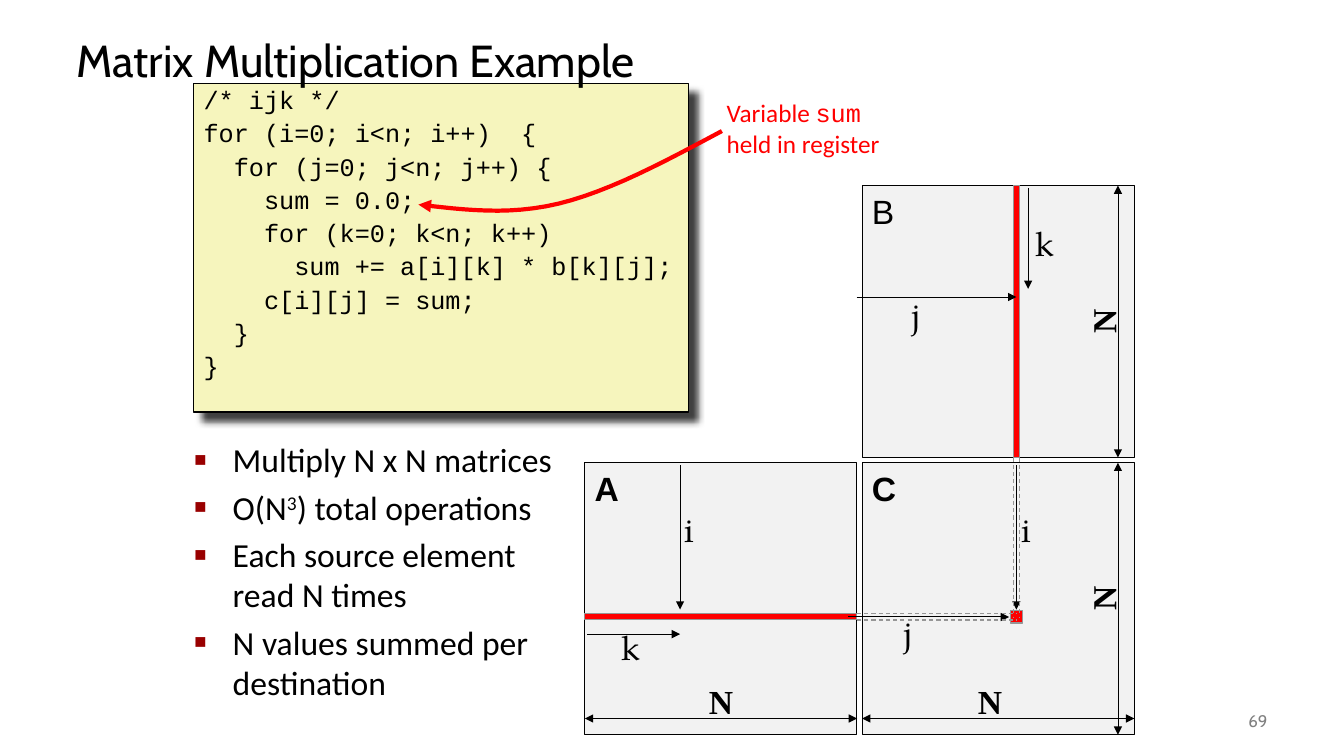
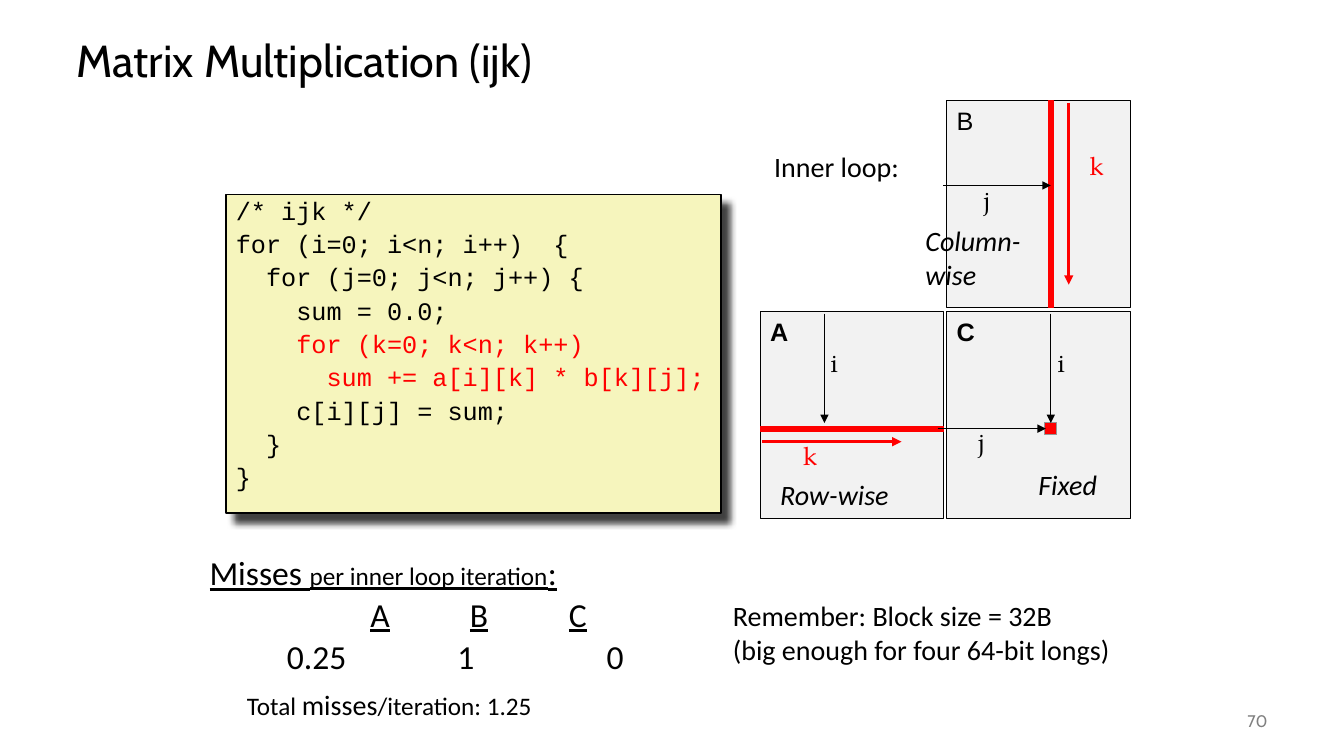
from lxml.etree import SubElement
from pptx import Presentation
from pptx.dml.color import RGBColor
from pptx.enum.dml import MSO_LINE
from pptx.enum.shapes import MSO_CONNECTOR, MSO_SHAPE
from pptx.enum.text import MSO_ANCHOR, PP_ALIGN
from pptx.oxml.ns import qn
from pptx.util import Inches, Pt

BLACK = RGBColor(0x00, 0x00, 0x00)
WHITE = RGBColor(0xFF, 0xFF, 0xFF)
RED = RGBColor(0xFF, 0x00, 0x00)
GREY = RGBColor(0x96, 0x96, 0x96)
NUMBER_GREY = RGBColor(0x80, 0x80, 0x80)
CELL_GREY = RGBColor(0xF2, 0xF2, 0xF2)
CODE_YELLOW = RGBColor(0xF6, 0xF5, 0xBD)

TITLE_FONT, BODY_FONT, CODE_FONT = "Cabin", "Calibri", "Courier New"
INDEX_FONT = "TeX Gyre Pagella"

CODE = [
    "/* ijk */",
    "for (i=0; i<n; i++)  {",
    "  for (j=0; j<n; j++) {",
    "    sum = 0.0;",
    "    for (k=0; k<n; k++)",
    "      sum += a[i][k] * b[k][j];",
    "    c[i][j] = sum;",
    "  }",
    "}",
]

# Matrix name: column and row in the 2 x 2 grid of cells
CELLS = {"A": (0, 1), "B": (1, 0), "C": (1, 1)}
MARK = 0.567  # share of a cell at which the highlighted row and column lie

# Cell, name, arrow start, arrow end, label corner, all as shares of the cell
INDEXES = [
    ("A", "i", (0.35, 0.01), (0.35, 0.54), (0.33, 0.15)),
    ("B", "j", (-0.02, 0.41), (MARK, 0.41), (0.15, 0.38)),
    ("C", "i", (MARK, 0.01), (MARK, 0.54), (0.55, 0.15)),
    ("C", "j", (-0.05, MARK), (0.54, MARK), (0.12, 0.53)),
]

SLIDES = [
    dict(number=69, title="Matrix Multiplication Example",
         code=(1.92, 0.83, 4.91, 3.26), red_lines=(),
         origin=(5.8, 1.84), cell=(2.7, 2.7), pitch=(2.75, 2.75),
         label_size=24, strip=0.06, strip_outline=GREY, k_color=BLACK, k_width=0.75,
         k_indexes=[("A", "k", (0.01, 0.63), (0.35, 0.63), (0.1, 0.585)),
                    ("B", "k", (0.61, 0.01), (0.61, 0.38), (0.6, 0.12))]),
    dict(number=70, title="Matrix Multiplication (ijk)",
         code=(2.24, 1.93, 4.91, 3.16), red_lines=(4, 5),
         origin=(7.54, 1), cell=(1.82, 2.05), pitch=(1.85, 2.09),
         label_size=18, strip=0.05, strip_outline=RED, k_color=RED, k_width=2.25,
         k_indexes=[("A", "k", (0.01, 0.63), (0.77, 0.63), (0.18, 0.6)),
                    ("B", "k", (0.665, 0.01), (0.665, 0.89), (0.725, 0.215))]),
]


def add_box(slide, area, paragraphs=(), size=18, font=BODY_FONT, color=BLACK,
            fill=None, outline=None, align=PP_ALIGN.LEFT, bold=False, italic=False):
    """Add a text box, or a rectangle when filled; each paragraph is a list of run texts."""
    area = [Inches(length) for length in area]
    if fill is None:
        shape = slide.shapes.add_textbox(*area)
    else:
        shape = slide.shapes.add_shape(MSO_SHAPE.RECTANGLE, *area)
        shape.shadow.inherit = False
        shape.fill.solid()
        shape.fill.fore_color.rgb = fill
        if outline is None:
            shape.line.fill.background()
        else:
            shape.line.color.rgb = outline
            shape.line.width = Pt(0.75)
    frame = shape.text_frame
    frame.word_wrap = True
    frame.vertical_anchor = MSO_ANCHOR.TOP
    for position, run_texts in enumerate(paragraphs):
        paragraph = frame.add_paragraph() if position else frame.paragraphs[0]
        paragraph.alignment = align
        for text in run_texts:
            run = paragraph.add_run()
            run.text = text
            run.font.name, run.font.size = font, Pt(size)
            run.font.bold, run.font.italic = bold, italic
            run.font.color.rgb = color
    return shape


def add_line(slide, points, color=BLACK, width=0.75, ends=("tailEnd",), dashed=False):
    """Add a connector between two points, or an open outline through more."""
    points = [(Inches(x), Inches(y)) for x, y in points]
    if len(points) == 2:
        line = slide.shapes.add_connector(MSO_CONNECTOR.STRAIGHT, *points[0], *points[1])
    else:
        builder = slide.shapes.build_freeform(*points[0])
        builder.add_line_segments(points[1:], close=False)
        line = builder.convert_to_shape()
        line.fill.background()
    line.line.color.rgb = color
    line.line.width = Pt(width)
    if dashed:
        line.line.dash_style = MSO_LINE.DASH
    properties = line._element.spPr
    for end in ends:
        SubElement(properties.find(qn("a:ln")), qn(f"a:{end}"), type="triangle")
    SubElement(properties, qn("a:effectLst"))


presentation = Presentation()
presentation.slide_width = Inches(13.33)
presentation.slide_height = Inches(7.5)
title_only = presentation.slide_layouts[5]

for design in SLIDES:
    slide = presentation.slides.add_slide(title_only)
    width, height = design["cell"]
    corners = {
        name: (design["origin"][0] + column * design["pitch"][0],
               design["origin"][1] + row * design["pitch"][1])
        for name, (column, row) in CELLS.items()
    }

    # Matrices with the highlighted row, column and element
    for name, corner in corners.items():
        add_box(slide, (*corner, width, height), [[name]], design["label_size"], "Arial",
                fill=CELL_GREY, outline=BLACK, bold=name != "B")
    mark_x = corners["C"][0] + MARK * width
    mark_y = corners["C"][1] + MARK * height
    strip = design["strip"]
    for area, outline in [
        ((mark_x - strip / 2, corners["B"][1], strip, height), design["strip_outline"]),
        ((corners["A"][0], mark_y - strip / 2, width, strip), design["strip_outline"]),
        ((mark_x - 0.06, mark_y - 0.06, 0.12, 0.12), GREY),
    ]:
        add_box(slide, area, fill=RED, outline=outline)

    # Index arrows and their labels
    for cell, name, start, end, label in INDEXES + design["k_indexes"]:
        start, end, label = [
            (corners[cell][0] + x * width, corners[cell][1] + y * height)
            for x, y in (start, end, label)
        ]
        color, weight = BLACK, 0.75
        if name == "k":
            color, weight = design["k_color"], design["k_width"]
        add_line(slide, [start, end], color, weight)
        add_box(slide, (*label, 0.45, 0.5), [[name]], design["label_size"], INDEX_FONT, color)

    # Code listing
    listing = add_box(slide, design["code"], [[line] for line in CODE], 18, CODE_FONT,
                      fill=CODE_YELLOW, outline=BLACK)
    listing.line.width = Pt(1)
    listing.text_frame.margin_top = Inches(0.1)
    for position, paragraph in enumerate(listing.text_frame.paragraphs):
        paragraph.line_spacing = 0.65
        paragraph.space_before = Pt(9.75 if position else 0)
        if position in design["red_lines"]:
            paragraph.runs[0].font.color.rgb = RED
    shadow = SubElement(listing._element.spPr.find(qn("a:effectLst")), qn("a:outerShdw"),
                        blurRad=str(Pt(5)), dist=str(Pt(8.5)), dir=str(45 * 60000),
                        algn="tl", rotWithShape="0")
    shadow_color = SubElement(shadow, qn("a:srgbClr"), val=str(BLACK))
    SubElement(shadow_color, qn("a:alpha"), val="75000")

    # Title, in front of the listing, and slide number
    title = slide.shapes.title
    slide.shapes._spTree.append(title._element)
    title.left, title.top = Inches(0.66), Inches(0.25)
    title.width, title.height = Inches(12), Inches(0.75)
    title.text_frame.text = design["title"]
    title.text_frame.vertical_anchor = MSO_ANCHOR.MIDDLE
    paragraph = title.text_frame.paragraphs[0]
    paragraph.alignment = PP_ALIGN.LEFT
    paragraph.line_spacing = 0.9
    paragraph.font.name, paragraph.font.size = TITLE_FONT, Pt(32)
    paragraph.font.color.rgb = BLACK
    number = add_box(slide, (11.67, 6.95, 1, 0.4), [[str(design["number"])]], 12,
                     TITLE_FONT, NUMBER_GREY, align=PP_ALIGN.RIGHT)
    number.text_frame.vertical_anchor = MSO_ANCHOR.MIDDLE

    if design["number"] == 69:
        # Dashed projections of the row and column onto C
        for offset in (-strip / 2, strip / 2):
            for points in [
                [(mark_x + offset, corners["C"][1] - 0.05), (mark_x + offset, mark_y)],
                [(corners["C"][0] - 0.05, mark_y + offset), (mark_x, mark_y + offset)],
            ]:
                add_line(slide, points, GREY, ends=(), dashed=True)

        # N dimensions: cell, start, end, label centre, rotation
        for cell, start, end, label, rotation in [
            ("A", (0, 0.94), (1, 0.94), (0.5, 0.875), 0),
            ("C", (0, 0.94), (1, 0.94), (0.47, 0.875), 0),
            ("B", (0.94, 0), (0.94, 1), (0.885, 0.5), 270),
            ("C", (0.94, 0), (0.94, 1), (0.885, 0.5), 270),
        ]:
            start, end, label = [
                (corners[cell][0] + x * width, corners[cell][1] + y * height)
                for x, y in (start, end, label)
            ]
            add_line(slide, [start, end], width=0.5, ends=("headEnd", "tailEnd"))
            dimension = add_box(slide, (label[0] - 0.25, label[1] - 0.2, 0.5, 0.4), [["N"]],
                                24, "Times New Roman", align=PP_ALIGN.CENTER, bold=True)
            dimension.text_frame.margin_top = dimension.text_frame.margin_bottom = 0
            dimension.rotation = rotation

        facts = add_box(slide, (1.83, 4.31, 3.98, 3.06), [
            ["Multiply N x N matrices"],
            ["O(N", "3", ") total operations"],
            ["Each source element read N times"],
            ["N values summed per destination"],
        ], 24)
        for position, paragraph in enumerate(facts.text_frame.paragraphs):
            properties = paragraph._p.get_or_add_pPr()
            properties.set("marL", str(Inches(0.38)))
            properties.set("indent", str(-Inches(0.38)))
            bullet_color = SubElement(properties, qn("a:buClr"))
            SubElement(bullet_color, qn("a:srgbClr"), val="990000")
            SubElement(properties, qn("a:buSzPct"), val="60000")
            SubElement(properties, qn("a:buFont"), typeface="Arial")
            SubElement(properties, qn("a:buChar"), char="■")
            paragraph.space_before = Pt(5 if position else 0)
        exponent = facts.text_frame.paragraphs[1].runs[1]
        exponent.font._element.set("baseline", "30000")

        callout = add_box(slide, (7.11, 0.92, 1.8, 0.7),
                          [["Variable ", "sum"], ["held in register"]], color=RED, fill=WHITE)
        callout.text_frame.paragraphs[0].runs[1].font.name = CODE_FONT

        # Curved arrow through two cubic Bézier pieces
        curve = [(7.16, 1.3)]
        for a, b, c, d in [
            ((7.16, 1.3), (6.6, 1.6), (6.04, 1.9), (5.54, 2.02)),
            ((5.54, 2.02), (5.04, 2.14), (4.6, 2.08), (4.15, 2.03)),
        ]:
            for step in range(1, 13):
                t = step / 12
                weights = ((1 - t) ** 3, 3 * t * (1 - t) ** 2, 3 * t * t * (1 - t), t ** 3)
                curve.append(tuple(
                    sum(weight * point[axis] for weight, point in zip(weights, (a, b, c, d)))
                    for axis in (0, 1)))
        add_line(slide, curve, RED, 3)
    else:
        for area, lines, italic in [
            ((7.58, 1.43, 1.6, 0.43), ["Inner loop:"], False),
            ((7.64, 4.69, 1.4, 0.43), ["Row-wise"], True),
            ((10.2, 4.59, 0.95, 0.43), ["Fixed"], True),
            ((9.08, 2.17, 1.22, 0.77), ["Column-", "wise"], True),
            ((7.17, 5.89, 4.17, 0.77),
             ["Remember: Block size = 32B", "(big enough for four 64-bit longs)"], False),
        ]:
            add_box(slide, area, [[line] for line in lines], 20, italic=italic)

        # Misses per matrix
        heading = add_box(slide, (1.98, 5.43, 5, 0.5),
                          [["Misses ", "per inner loop iteration", ":"]], 24)
        for run in heading.text_frame.paragraphs[0].runs:
            run.font.underline = True
        heading.text_frame.paragraphs[0].runs[1].font.size = Pt(18)
        for column, (name, misses) in enumerate([("A", "0.25"), ("B", "1"), ("C", "0")]):
            header = add_box(slide, (3.27 + 0.98 * column, 5.84, 1, 0.5), [[name]], 24,
                             align=PP_ALIGN.CENTER)
            header.text_frame.paragraphs[0].runs[0].font.underline = True
            add_box(slide, (2.64 + 1.48 * column, 6.26, 1, 0.5), [[misses]], 24,
                    align=PP_ALIGN.CENTER)
        total = add_box(slide, (2.35, 6.77, 3.43, 0.44),
                        [["Total ", "misses", "/iteration: 1.25"]])
        total.text_frame.paragraphs[0].runs[1].font.size = Pt(20)

presentation.save("out.pptx")
